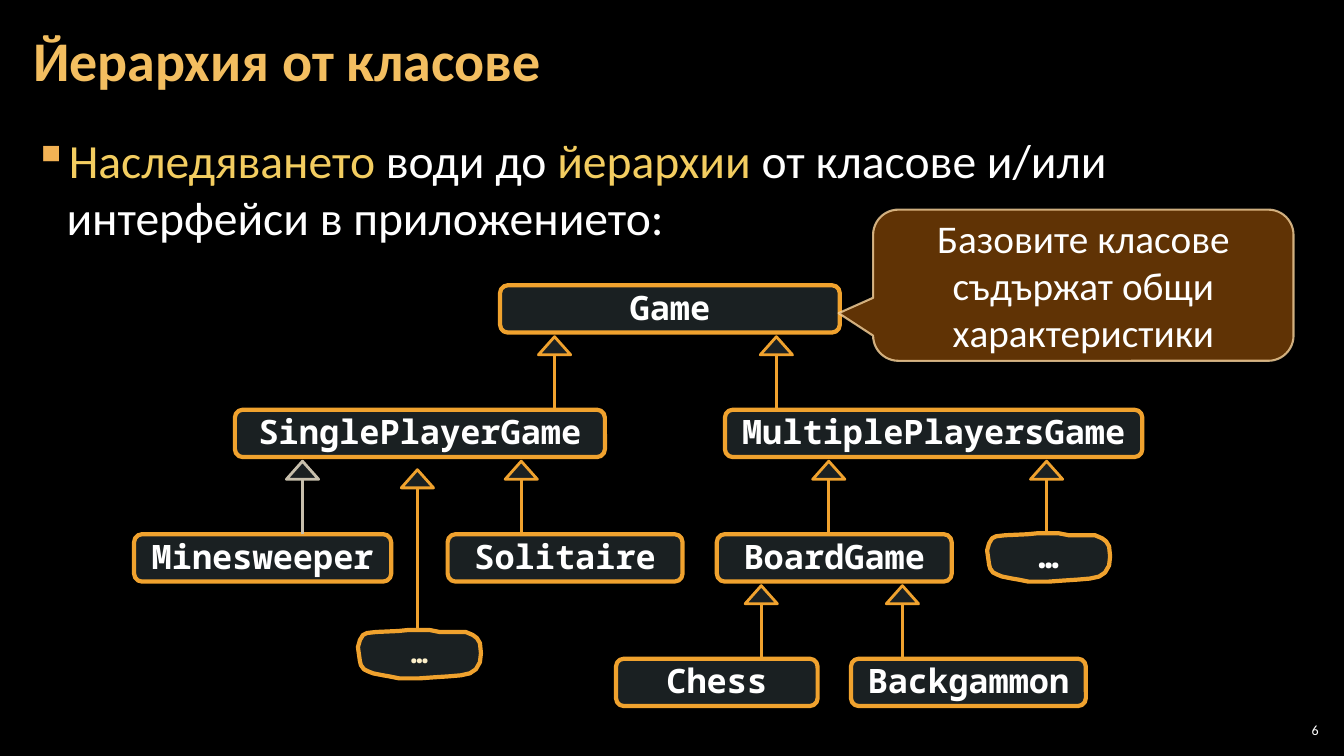
from dataclasses import dataclass

from lxml import etree
from pptx import Presentation
from pptx.dml.color import RGBColor
from pptx.enum import shapes, text
from pptx.oxml import ns
from pptx.util import Emu, Inches, Pt


@dataclass(frozen=True)
class Theme:
    sans: str = "Calibri"
    mono: str = "Noto Sans Mono"
    back: str = "000000"
    white: str = "FFFFFF"
    title: str = "F3BE60"
    key: str = "F3CD60"
    bullet: str = "F2B254"
    cream: str = "FBEEC9"
    box: str = "B5DBE5"
    line: str = "F0A22E"
    grey: str = "C7BFAC"
    callout: str = "663606"
    callout_line: str = "F8D49E"
    title_size: int = 40
    body_size: int = 34
    callout_size: int = 28
    class_size: int = 24
    small_class_size: int = 20
    number_size: int = 10


T = Theme()

# Content
TITLE = "Йерархия от класове"
BODY = [("Наследяването ", T.key), ("води до ", T.white), ("йерархии ", T.key),
        ("от класове и/или интерфейси в приложението:", T.white)]
CALLOUT = "Базовите класове съдържат общи характеристики"
NUMBER = "6"

# Classes: name, level, left, width
CLASSES = [
    ("Game", 0, 4.96, 3.37),
    ("SinglePlayerGame", 1, 2.33, 3.67),
    ("MultiplePlayersGame", 1, 7.19, 4.14),
    ("Minesweeper", 2, 1.33, 2.55),
    ("Solitaire", 2, 4.44, 2.33),
    ("BoardGame", 2, 7.11, 2.33),
    ("Chess", 3, 6.11, 2.0),
    ("Backgammon", 3, 8.44, 2.33),
]
# Inheritance arrows: parent level, x, colour
ARROWS = [
    (0, 5.5, T.line), (0, 7.7, T.line),
    (1, 3.0, T.grey), (1, 5.17, T.line), (1, 8.22, T.line), (1, 10.38, T.line),
    (2, 7.55, T.line), (2, 8.95, T.line),
]
# Further classes: left, top, size, colour
MORE = [(9.79, 5.29, T.class_size, T.white), (3.55, 6.25, T.small_class_size, T.cream)]
WAVY = [(0, .17), (.02, .1), (.05, .05), (.09, .03), (.18, .02), (.4, .01), (.5, 0),
        (.71, 0), (.81, .02), (1.07, .02), (1.14, .05), (1.18, .08), (1.21, .13),
        (1.22, .23), (1.21, .32), (1.17, .39), (1.11, .43), (1.02, .45), (.9, .46),
        (.75, .47), (.61, .48), (.41, .48), (.31, .46), (.25, .45), (.15, .43),
        (.1, .41), (.06, .39), (.03, .35), (.02, .31), (.01, .24)]

# Layout rules
ROW_TOP, ROW_STEP, BOX_H = 2.83, 1.235, 0.47
GAP, HEAD_W, HEAD_H = 0.04, 0.32, 0.18


def row_top(level):
    return ROW_TOP + level * ROW_STEP


def rgb(value):
    return RGBColor.from_string(value)


def sub(parent, tag, **attrs):
    return etree.SubElement(parent, ns.qn(tag), **attrs)


def set_alpha(fill_parent, percent):
    clr = next(fill_parent.iter(ns.qn("a:srgbClr")))
    sub(clr, "a:alpha", val=str(percent * 1000))


def write(tf, runs, size, color=T.white, font=T.sans, bold=False, wrap=True, spacing=None,
          align=text.PP_ALIGN.LEFT, anchor=text.MSO_ANCHOR.MIDDLE, margins=None):
    """Fill a text frame with one paragraph; runs is a string or (text, colour) pairs."""
    tf.word_wrap = wrap
    tf.auto_size = text.MSO_AUTO_SIZE.NONE
    tf.vertical_anchor = anchor
    if margins:
        tf.margin_left = tf.margin_right = Inches(margins[0])
        tf.margin_top = tf.margin_bottom = Inches(margins[1])
    p = tf.paragraphs[0]
    p.alignment = align
    p.line_spacing = spacing
    for words, c in [(runs, color)] if isinstance(runs, str) else runs:
        r = p.add_run()
        r.text = words
        r.font.name, r.font.size, r.font.bold = font, Pt(size), bold
        r.font.color.rgb = rgb(c)
    return p


def paint(sp, fill=T.box, alpha=15, line=T.line, width=3):
    sp.shadow.inherit = False
    sp.fill.solid()
    sp.fill.fore_color.rgb = rgb(fill)
    set_alpha(sp.fill._xPr.find(ns.qn("a:solidFill")), alpha)
    sp.line.color.rgb = rgb(line)
    sp.line.width = Pt(width)


def add_preset(s, kind, x, y, w, h):
    return s.shapes.add_shape(kind, Inches(x), Inches(y), Inches(w), Inches(h))


def class_label(sp, name, size=T.class_size, color=T.white):
    write(sp.text_frame, name, size, color=color, font=T.mono, bold=True, wrap=False,
          spacing=0.95, align=text.PP_ALIGN.CENTER)


def add_arrow(s, x, tip, end, color):
    head = add_preset(s, shapes.MSO_SHAPE.ISOSCELES_TRIANGLE, x - HEAD_W / 2, tip, HEAD_W, HEAD_H)
    paint(head, line=color, width=2)
    stem = s.shapes.add_connector(shapes.MSO_CONNECTOR.STRAIGHT, Inches(x),
                                  Inches(tip + HEAD_H), Inches(x), Inches(end))
    stem.line.color.rgb = rgb(color)
    stem.line.width = Pt(2)
    sub(stem._element.spPr, "a:effectLst")


prs = Presentation()
prs.slide_width, prs.slide_height = Inches(13.33), Inches(7.5)
s = prs.slides.add_slide(prs.slide_layouts[5])
s.background.fill.solid()
s.background.fill.fore_color.rgb = rgb(T.back)

# Title and body
title = s.shapes.title
title.left, title.top = Inches(0.21), Inches(0.04)
title.width, title.height = Inches(12.91), Inches(1.21)
write(title.text_frame, TITLE, T.title_size, color=T.title, bold=True, spacing=Pt(40),
      margins=(0.12, 0.04))
body = s.shapes.add_textbox(Inches(0.21), Inches(1.26), Inches(12.91), Inches(1.4))
p = write(body.text_frame, BODY, T.body_size, anchor=text.MSO_ANCHOR.TOP, margins=(0.12, 0.04))
pPr = p._p.get_or_add_pPr()
pPr.set("marL", str(Inches(0.33)))
pPr.set("indent", str(-Inches(0.33)))
sub(sub(pPr, "a:buClr"), "a:srgbClr", val=T.bullet)
sub(pPr, "a:buChar", char="▪")

# Class boxes
for name, level, x, w in CLASSES:
    box = add_preset(s, shapes.MSO_SHAPE.ROUNDED_RECTANGLE, x, row_top(level), w, BOX_H)
    paint(box)
    class_label(box, name)

# Arrows to the parent classes
for level, x, color in ARROWS:
    add_arrow(s, x, row_top(level) + BOX_H + GAP, row_top(level + 1), color)
add_arrow(s, 4.14, 4.66, 6.25, T.line)

# Wavy boxes for further classes
for x, y, size, color in MORE:
    points = [(Inches(x + dx), Inches(y + dy)) for dx, dy in WAVY]
    fb = s.shapes.build_freeform(*points[0])
    fb.add_line_segments(points[1:], close=True)
    wavy = fb.convert_to_shape(Emu(0), Emu(0))
    paint(wavy)
    class_label(wavy, "…", size, color)

# Callout
callout = add_preset(s, shapes.MSO_SHAPE.ROUNDED_RECTANGULAR_CALLOUT, 8.66, 2.08, 4.17, 1.5)
for i, value in enumerate((-0.582, 0.185, 0.167)):
    callout.adjustments[i] = value
paint(callout, T.callout, 95, T.callout_line, 1.5)
set_alpha(callout.line._ln, 80)
write(callout.text_frame, CALLOUT, T.callout_size, align=text.PP_ALIGN.CENTER)

# Slide number
number = s.shapes.add_textbox(Inches(12.65), Inches(7.14), Inches(0.47), Inches(0.21))
write(number.text_frame, NUMBER, T.number_size, align=text.PP_ALIGN.RIGHT, margins=(0.04, 0.04))

prs.save("out.pptx")
